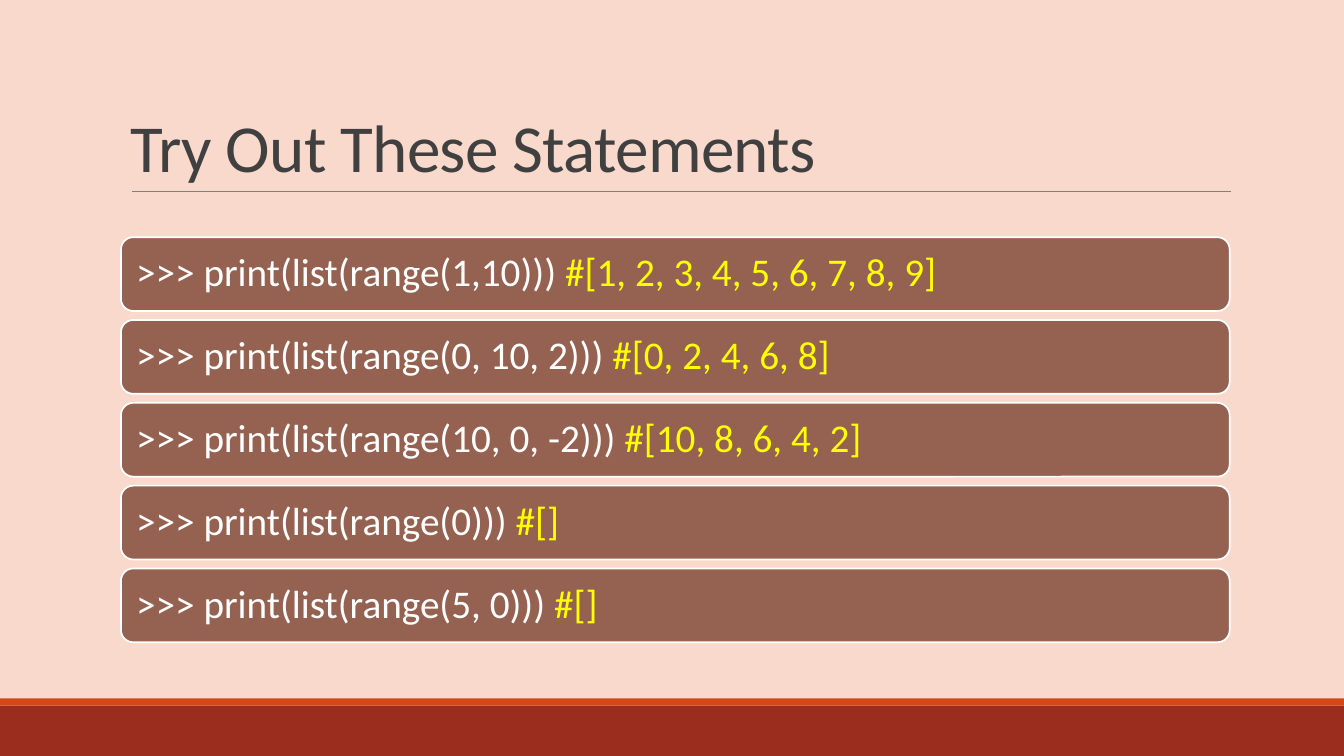
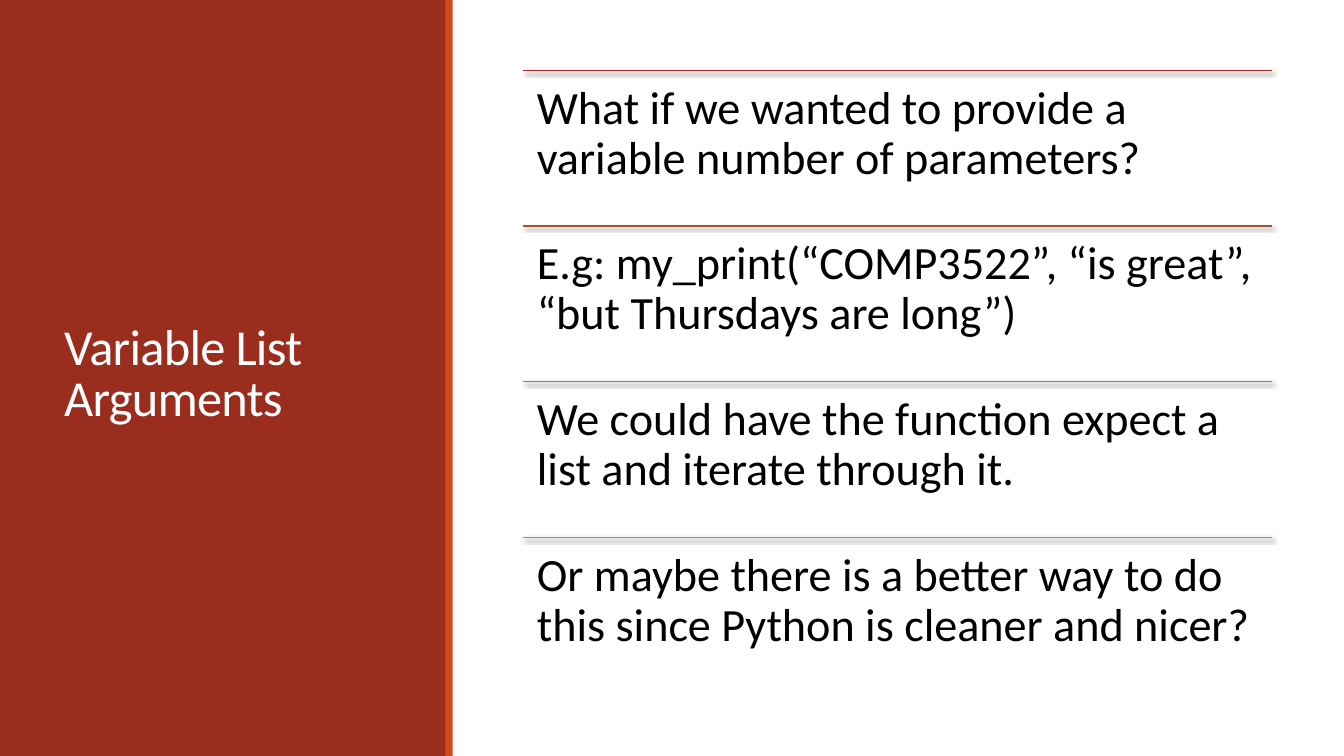
from lxml.etree import SubElement as Sub
from pptx import Presentation
from pptx.dml.color import RGBColor
from pptx.enum.shapes import MSO_CONNECTOR as Conn, MSO_SHAPE as Shape
from pptx.enum.text import MSO_ANCHOR as Anchor, PP_ALIGN as Align
from pptx.oxml.ns import qn
from pptx.util import Pt

WIDE, HIGH = 960, 540
FONT = "Calibri"
RED, ORANGE, BROWN = "9B2D1F", "D34817", "956251"
PINK, WHITE, BLACK = "FAD9CD", "FFFFFF", "000000"
DARK, GRAY, YELLOW = "404040", "808080", "FFFF00"
STRIPE = 5.2  # thickness of the orange edge

CALLS = [
    (">>> print(list(range(1,10))) ", "#[1, 2, 3, 4, 5, 6, 7, 8, 9]"),
    (">>> print(list(range(0, 10, 2))) ", "#[0, 2, 4, 6, 8]"),
    (">>> print(list(range(10, 0, -2))) ", "#[10, 8, 6, 4, 2]"),
    (">>> print(list(range(0))) ", "#[]"),
    (">>> print(list(range(5, 0))) ", "#[]"),
]
POINTS = [
    ("9B2D1F", "What if we wanted to provide a variable number of parameters?"),
    ("A25333", "E.g: my_print(“COMP3522”, “is great”, “but Thursdays are long”)"),
    ("A6754B", "We could have the function expect a list and iterate through it."),
    ("A28E6A", "Or maybe there is a better way to do this since Python is "
               "cleaner and nicer?"),
]


def rgb(code):
    return RGBColor.from_string(code)


def points(box):
    return [Pt(v) for v in box]


def new_slide(deck, color):
    slide = deck.slides.add_slide(deck.slide_layouts[6])
    fill = slide.background.fill
    fill.solid()
    fill.fore_color.rgb = rgb(color)
    return slide


def block(slide, box, color, kind=Shape.RECTANGLE, edge=None):
    shape = slide.shapes.add_shape(kind, *points(box))
    shape.shadow.inherit = False
    shape.fill.solid()
    shape.fill.fore_color.rgb = rgb(color)
    if edge:
        shape.line.color.rgb = rgb(edge)
        shape.line.width = Pt(1.25)
    else:
        shape.line.fill.background()
    return shape


def rule(slide, left, top, width, color, weight, shadow=False):
    ends = points((left, top, left + width, top))
    line = slide.shapes.add_connector(Conn.STRAIGHT, *ends)
    line.line.color.rgb = rgb(color)
    line.line.width = Pt(weight)
    effect = Sub(line._element.spPr, qn("a:effectLst"))
    if shadow:
        cast = Sub(effect, qn("a:outerShdw"), blurRad=str(Pt(3)),
                   dist=str(Pt(2)), dir="2700000", rotWithShape="0")
        tint = Sub(cast, qn("a:srgbClr"), val=BLACK)
        Sub(tint, qn("a:alpha"), val="60000")


def write(shape, parts, size, color, anchor, pad, space=0.9):
    """Fill a shape with one paragraph of (text, own color) runs."""
    frame = shape.text_frame
    frame.word_wrap = True
    frame.vertical_anchor = anchor
    frame.margin_left = frame.margin_right = Pt(pad[0])
    frame.margin_top = frame.margin_bottom = Pt(pad[1])
    para = frame.paragraphs[0]
    para.alignment = Align.LEFT
    para.line_spacing = space
    font = para.font
    font.name, font.size, font.color.rgb = FONT, Pt(size), rgb(color)
    for text, own in parts:
        run = para.add_run()
        run.text = text
        if own:
            run.font.color.rgb = rgb(own)
    return para


def title(slide, box, text, size, color, anchor):
    area = slide.shapes.add_textbox(*points(box))
    para = write(area, [(text, None)], size, color, anchor, (7.2, 3.6), 0.85)
    para.runs[0]._r.get_or_add_rPr().set("spc", "-50")


def cards(slide, box, rows):
    left, top, width, height = box
    gap = 6.4
    tall = (height - gap * (len(rows) - 1)) / len(rows)
    for i, (call, result) in enumerate(rows):
        place = (left, top + i * (tall + gap), width, tall)
        card = block(slide, place, BROWN, Shape.ROUNDED_RECTANGLE, WHITE)
        write(card, [(call, None), (result, YELLOW)], 28, WHITE,
              Anchor.MIDDLE, (8.4, 8.4))


def ruled_list(slide, box, rows):
    left, top, width, height = box
    step = height / len(rows)
    for i, (color, text) in enumerate(rows):
        y = top + i * step
        rule(slide, left, y, width, color, 1, shadow=True)
        area = slide.shapes.add_textbox(*points((left, y, width, step)))
        write(area, [(text, None)], 33, BLACK, Anchor.TOP, (9.9, 9.9))


def card_slide(deck):
    slide = new_slide(deck, PINK)
    # Footer band
    block(slide, (0, 504, WIDE, 36), RED)
    block(slide, (0, 504 - STRIPE, WIDE, STRIPE), ORANGE)
    # Title and its rule
    rule(slide, 94.2, 136.8, 785, GRAY, 0.5)
    title(slide, (86.4, 22.6, 792, 114.2), "Try Out These Statements",
          48, DARK, Anchor.BOTTOM)
    # Statements
    cards(slide, (86.4, 169.4, 792, 289.4), CALLS)


def panel_slide(deck):
    slide = new_slide(deck, WHITE)
    # Side panel
    block(slide, (0, 0, 319, HIGH), RED)
    title(slide, (38.8, 41, 242.6, 454.4), "Variable List Arguments",
          36, WHITE, Anchor.MIDDLE)
    block(slide, (318.2, 0, STRIPE, HIGH), ORANGE)
    # Points
    ruled_list(slide, (373.6, 50.3, 535, 444.8), POINTS)


def main():
    deck = Presentation()
    deck.slide_width, deck.slide_height = Pt(WIDE), Pt(HIGH)
    card_slide(deck)
    panel_slide(deck)
    deck.save("out.pptx")


if __name__ == "__main__":
    main()
